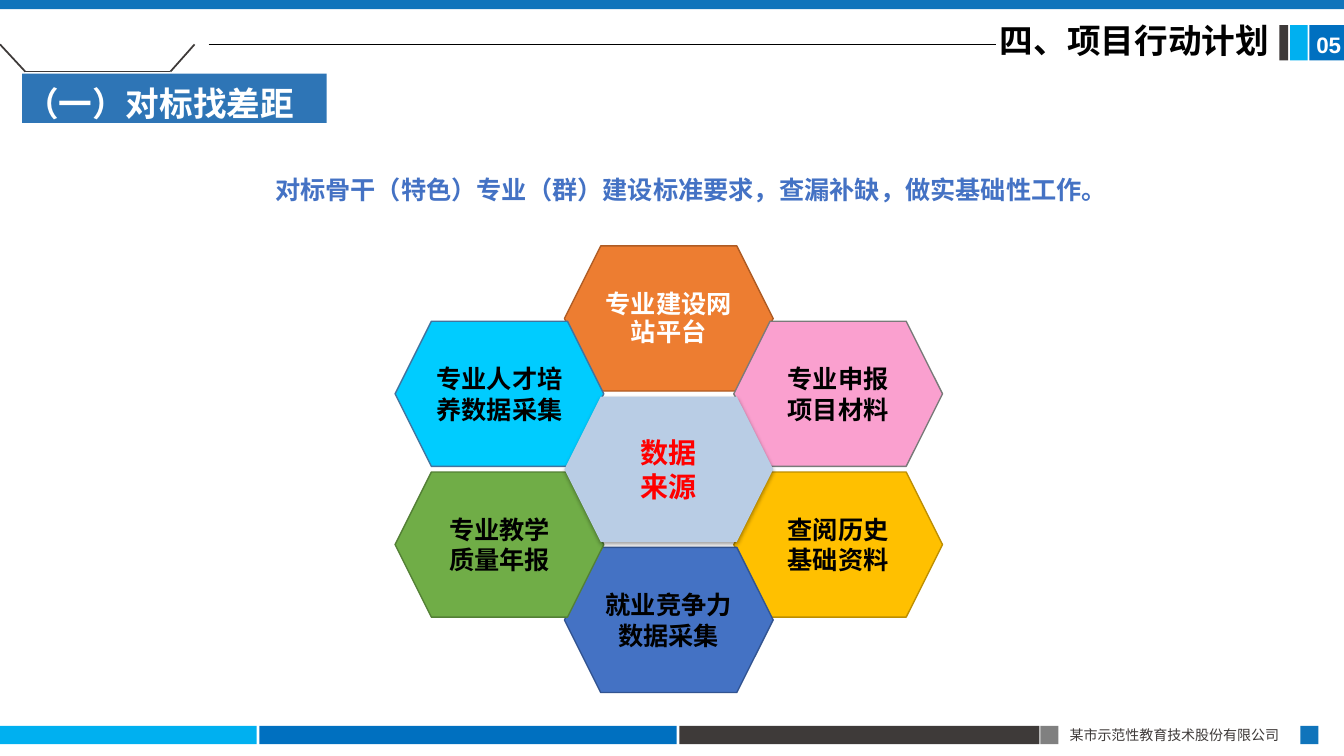
from dataclasses import dataclass
from itertools import pairwise

from lxml import etree
from pptx import Presentation
from pptx.dml.color import RGBColor
from pptx.enum.shapes import MSO_CONNECTOR, MSO_SHAPE
from pptx.enum.text import MSO_ANCHOR, MSO_AUTO_SIZE, PP_ALIGN
from pptx.oxml.ns import qn
from pptx.util import Emu, Inches, Pt

RECTANGLE = MSO_SHAPE.RECTANGLE
HEXAGON = MSO_SHAPE.HEXAGON
STRAIGHT = MSO_CONNECTOR.STRAIGHT
TOP, MIDDLE = MSO_ANCHOR.TOP, MSO_ANCHOR.MIDDLE
NO_FIT = MSO_AUTO_SIZE.NONE
LEFT, CENTER = PP_ALIGN.LEFT, PP_ALIGN.CENTER

BLACK = RGBColor(0x00, 0x00, 0x00)
WHITE = RGBColor(0xFF, 0xFF, 0xFF)
RED = RGBColor(0xFF, 0x00, 0x00)
CHARCOAL = RGBColor(0x3E, 0x3A, 0x39)
GREY = RGBColor(0x80, 0x80, 0x80)
SKY = RGBColor(0x00, 0xB0, 0xF0)
BLUE = RGBColor(0x00, 0x70, 0xC0)
BAND_BLUE = RGBColor(0x10, 0x74, 0xBB)
SECTION_BLUE = RGBColor(0x2E, 0x75, 0xB6)
ROYAL = RGBColor(0x44, 0x72, 0xC4)
ROYAL_EDGE = RGBColor(0x32, 0x54, 0x91)
ORANGE = RGBColor(0xED, 0x7D, 0x31)
ORANGE_EDGE = RGBColor(0xAF, 0x5C, 0x24)
PINK = RGBColor(0xFA, 0xA0, 0xCF)
PINK_EDGE = RGBColor(0x7A, 0x7A, 0x7A)
CYAN = RGBColor(0x00, 0xCC, 0xFF)
CYAN_EDGE = RGBColor(0x43, 0x73, 0x9E)
GOLD = RGBColor(0xFF, 0xC0, 0x00)
GOLD_EDGE = RGBColor(0xBD, 0x8E, 0x00)
GREEN = RGBColor(0x70, 0xAD, 0x47)
GREEN_EDGE = RGBColor(0x53, 0x80, 0x35)
PALE_BLUE = RGBColor(0xB9, 0xCD, 0xE5)

CJK = "Noto Sans CJK SC"
SLIDE_WIDTH, SLIDE_HEIGHT = Inches(13.33), Inches(7.5)
HEX_LEFT, HEX_TOP = 42, 32.53
HEX_COLUMN, HEX_ROW = 12.6, 9.97
HEX_WIDTH, HEX_HEIGHT = 15.53, 19.2


@dataclass(frozen=True)
class Area:
    left: float
    top: float
    width: float
    height: float

    def emu(self) -> tuple[Emu, Emu, Emu, Emu]:
        return (across(self.left), down(self.top),
                across(self.width), down(self.height))


@dataclass(frozen=True)
class Block:
    area: Area
    fill: RGBColor


@dataclass(frozen=True)
class Source:
    column: int
    row: int
    label: str
    fill: RGBColor
    edge: RGBColor | None
    color: RGBColor = BLACK
    size: int = 18
    spacing: Pt | None = None


BLOCKS = [
    Block(Area(0, 96, 19.1, 2.44), SKY),
    Block(Area(19.3, 96, 31.05, 2.44), BLUE),
    Block(Area(50.55, 96, 26.8, 2.44), CHARCOAL),
    Block(Area(77.4, 96, 1.35, 2.44), GREY),
    Block(Area(96.75, 96, 1.35, 2.44), BAND_BLUE),
    Block(Area(97.43, 3.33, 2.57, 4.67), BLUE),
    Block(Area(96, 3.33, 1.3, 4.67), SKY),
    Block(Area(95.2, 3.33, 0.65, 4.67), CHARCOAL),
    Block(Area(0, 0, 100, 1.2), BAND_BLUE),
    Block(Area(1.65, 9.73, 22.65, 6.53), SECTION_BLUE),
]
TRAY = [(0, 5.87), (1.88, 9.47), (12.68, 9.47), (14.48, 5.87)]
HEADER_RULE = [(15.53, 5.87), (74.1, 5.87)]
SOURCES = [
    Source(0, 0, "专业建设网站平台", ORANGE, ORANGE_EDGE, WHITE, spacing=Pt(20)),
    Source(1, 1, "专业申报\n项目材料", PINK, PINK_EDGE),
    Source(-1, 1, "专业人才培养数据采集", CYAN, CYAN_EDGE),
    Source(1, 3, "查阅历史\n基础资料", GOLD, GOLD_EDGE),
    Source(0, 4, "就业竞争力数据采集", ROYAL, ROYAL_EDGE),
    Source(-1, 3, "专业教学\n质量年报", GREEN, GREEN_EDGE),
    Source(0, 2, "数据\n来源", PALE_BLUE, None, RED, 20),
]


def across(share: float) -> Emu:
    return Emu(round(SLIDE_WIDTH * share / 100))


def down(share: float) -> Emu:
    return Emu(round(SLIDE_HEIGHT * share / 100))


def write(frame, text: str, *, size: float, color: RGBColor, bold: bool = True,
          face: str = CJK, align=LEFT, anchor=TOP, spacing=None) -> None:
    frame.word_wrap = True
    frame.auto_size = NO_FIT
    frame.vertical_anchor = anchor
    frame.text = text
    for paragraph in frame.paragraphs:
        paragraph.alignment = align
        if spacing is not None:
            paragraph.line_spacing = spacing
        for run in paragraph.runs:
            run.font.size = Pt(size)
            run.font.bold = bold
            run.font.color.rgb = color
            run.font.name = face
            east_asian = etree.SubElement(run.font._element, qn("a:ea"))
            east_asian.set("typeface", face)


def add_label(slide, area: Area, text: str, **text_format) -> None:
    write(slide.shapes.add_textbox(*area.emu()).text_frame, text, **text_format)


def add_figure(slide, preset, area: Area, fill: RGBColor,
               edge: RGBColor | None = None):
    figure = slide.shapes.add_shape(preset, *area.emu())
    figure.shadow.inherit = False
    figure.fill.solid()
    figure.fill.fore_color.rgb = fill
    if edge is None:
        figure.line.fill.background()
    else:
        figure.line.color.rgb = edge
        figure.line.width = Pt(1)
    return figure


def add_strokes(slide, points: list[tuple[float, float]], color: RGBColor,
                width: float) -> None:
    for start, end in pairwise(points):
        stroke = slide.shapes.add_connector(
            STRAIGHT, across(start[0]), down(start[1]), across(end[0]), down(end[1]))
        stroke.line.color.rgb = color
        stroke.line.width = Pt(width)
        etree.SubElement(stroke._element.spPr, qn("a:effectLst"))


def cast_shadow(figure) -> None:
    effects = figure._element.spPr.find(qn("a:effectLst"))
    shadow = etree.SubElement(
        effects, qn("a:outerShdw"), blurRad=str(Pt(3.1)), dist=str(Pt(1.8)),
        dir="5400000", rotWithShape="0")
    tint = etree.SubElement(shadow, qn("a:srgbClr"), val=str(BLACK))
    etree.SubElement(tint, qn("a:alpha"), val="35000")


def add_source(slide, source: Source) -> None:
    area = Area(HEX_LEFT + HEX_COLUMN * source.column,
                HEX_TOP + HEX_ROW * source.row, HEX_WIDTH, HEX_HEIGHT)
    hexagon = add_figure(slide, HEXAGON, area, source.fill, source.edge)
    if source.edge is None:
        cast_shadow(hexagon)
    frame = hexagon.text_frame
    frame.margin_left = frame.margin_right = 0
    frame.margin_top = frame.margin_bottom = 0
    write(frame, source.label, size=source.size, color=source.color,
          align=CENTER, anchor=MIDDLE, spacing=source.spacing)


def main() -> None:
    deck = Presentation()
    deck.slide_width, deck.slide_height = SLIDE_WIDTH, SLIDE_HEIGHT
    slide = deck.slides.add_slide(deck.slide_layouts[5])

    title = slide.shapes.title
    title.left, title.top, title.width, title.height = Area(
        73.65, 2.53, 22.73, 6.67).emu()
    write(title.text_frame, "四、项目行动计划", size=24, color=BLACK, spacing=0.9)

    for block in BLOCKS:
        add_figure(slide, RECTANGLE, block.area, block.fill)
    add_strokes(slide, TRAY, CHARCOAL, 1.25)
    add_strokes(slide, HEADER_RULE, BLACK, 0.5)
    for source in SOURCES:
        add_source(slide, source)

    add_label(slide, Area(78.85, 95.47, 18, 3.6), "某市示范性教育技术股份有限公司",
              size=10, color=CHARCOAL, bold=False)
    add_label(slide, Area(97.2, 3.47, 3.75, 4.93), "05",
              size=16, color=WHITE, face="Arial")
    add_label(slide, Area(19.73, 20.4, 65.25, 7.47),
              "对标骨干（特色）专业（群）建设标准要求，查漏补缺，做实基础性工作。",
              size=18, color=ROYAL, spacing=1.5)
    add_label(slide, Area(1.13, 8.67, 21.98, 7.47), "（一）对标找差距",
              size=24, color=WHITE, spacing=1.3)
    deck.save("out.pptx")


if __name__ == "__main__":
    main()
